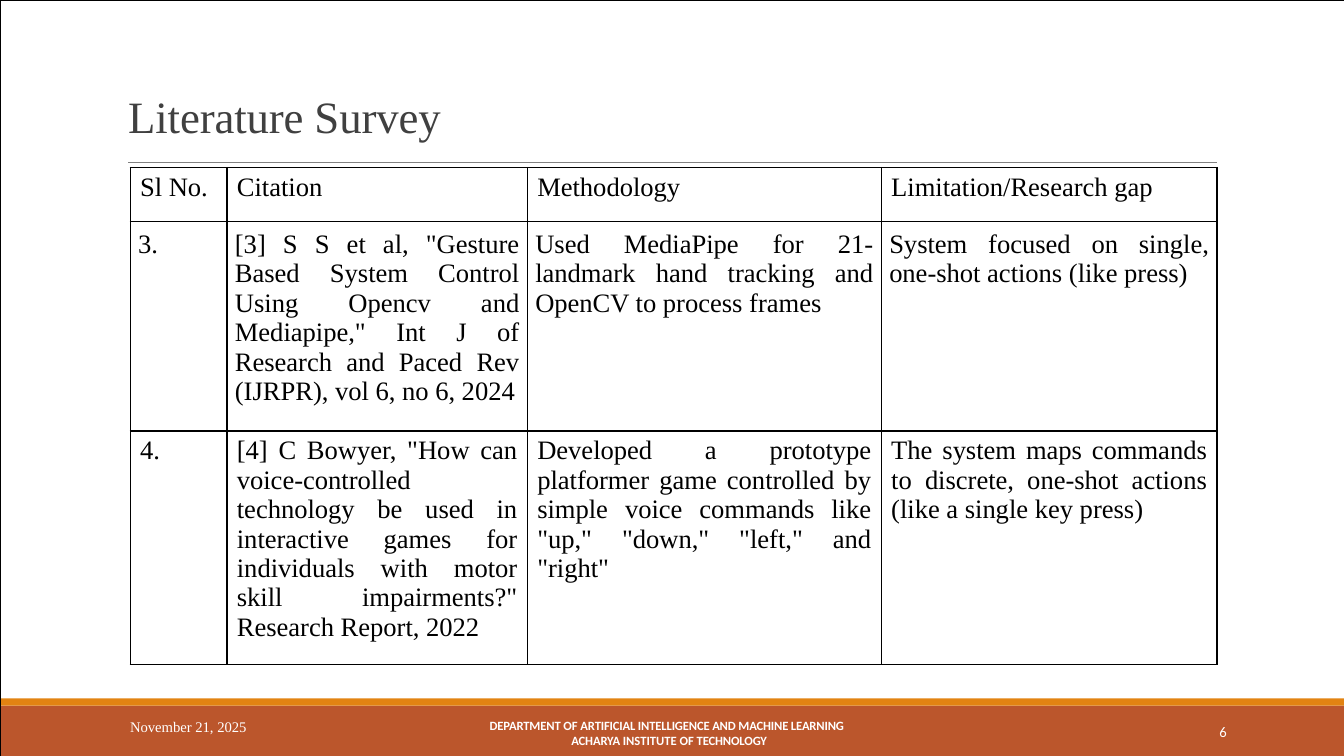
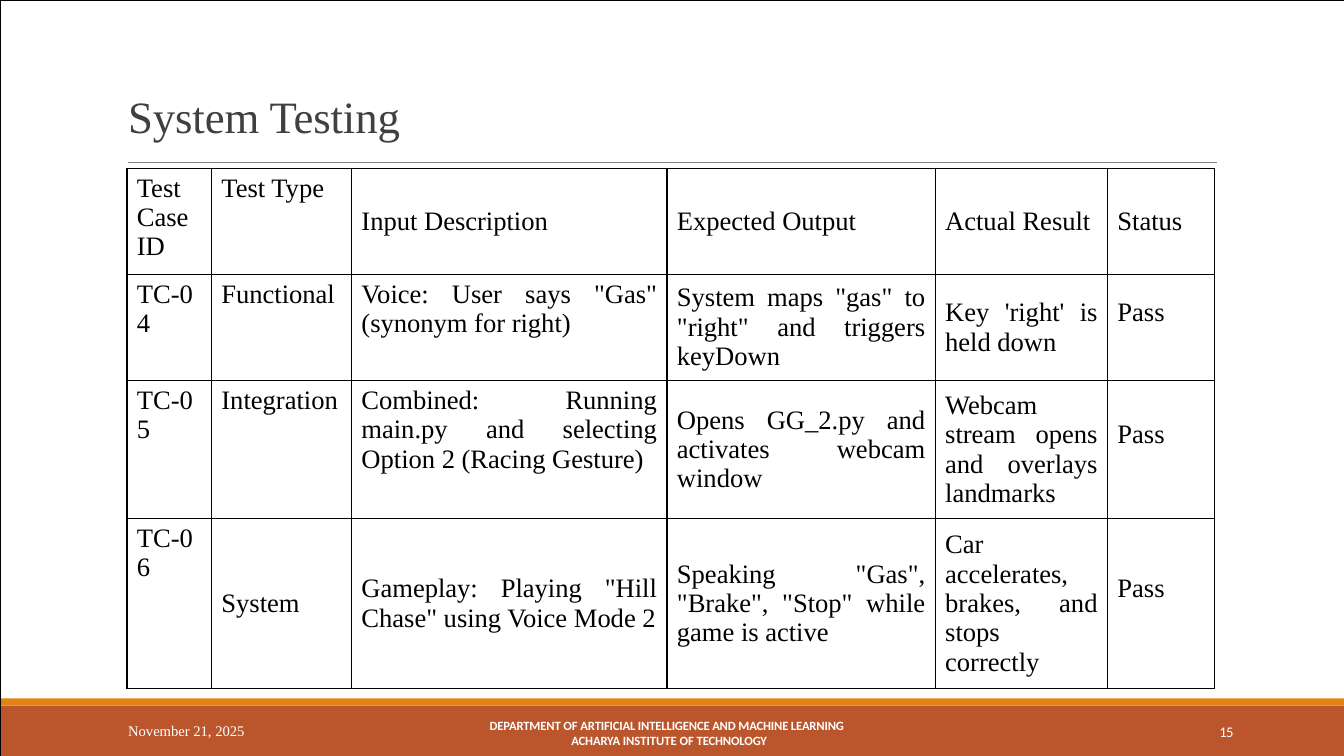
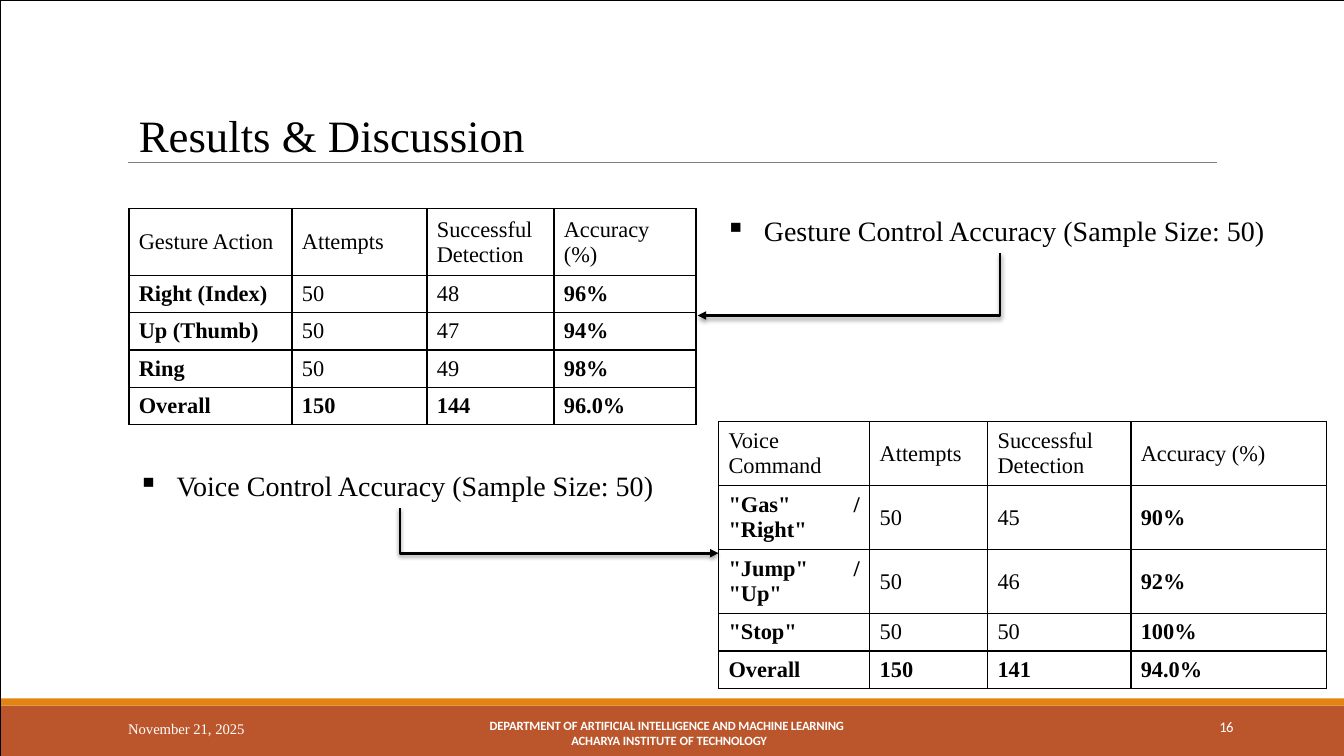
"""Builds three project review slides with tables and a shared footer."""
from lxml.etree import SubElement as Sub
from pptx import Presentation
from pptx.dml.color import RGBColor as Rgb
from pptx.enum.shapes import MSO_CONNECTOR as Link, MSO_SHAPE as Kind
from pptx.enum.text import MSO_ANCHOR as Anchor, PP_ALIGN as Align
from pptx.oxml.ns import qn
from pptx.util import Cm, Pt

INK = {"black": "000000", "white": "FFFFFF", "title": "404040",
       "rule": "808080", "rust": "BB562C", "amber": "E28312"}
SERIF, SANS = "Times New Roman", "Calibri"
WIDE, HIGH = 33.87, 19.05
DATE = "November 21, 2025"
DEPT = [("DEPARTMENT ", -10), ("OF ", 0),
        ("ARTIFICIAL INTELLIGENCE AND MACHINE LEARNING ACHARYA ", -10),
        ("INSTITUTE OF ", 0), ("TECHNOLOGY", -10)]

PAPERS = dict(
    at=(3.28, 4.22), cols=[2.44, 7.57, 8.92, 8.46], rows=[1.37, 5.27, 5.88],
    size=19, tops=[4, 4, 4], tight=1,
    data=[
        ["Sl No.", "Citation", "Methodology", "Limitation/Research gap"],
        ["3.",
         '[3] S S et al, "Gesture Based System Control Using Opencv and Mediapipe," '
         "Int J of Research and Paced Rev (IJRPR), vol 6, no 6, 2024",
         "Used MediaPipe for 21- landmark hand tracking and OpenCV to process frames",
         "System focused on single, one-shot actions (like press)"],
        ["4.",
         '[4] C Bowyer, "How can voice-controlled technology be used in interactive '
         'games for individuals with motor skill impairments?" Research Report, 2022',
         "Developed a prototype platformer game controlled by simple voice commands "
         'like "up," "down," "left," and "right"',
         "The system maps commands to discrete, one-shot actions (like a single key press)"],
    ])
TESTS = dict(
    at=(3.2, 4.24), cols=[2.13, 3.53, 7.95, 6.76, 4.34, 2.69],
    rows=[2.67, 2.67, 3.48, 4.27], size=19, tops=[2, 3, 3, 1],
    data=[
        ["Test Case ID", "Test Type", "Input Description", "Expected Output",
         "Actual Result", "Status"],
        ["TC-04", "Functional", 'Voice: User says "Gas" (synonym for right)',
         'System maps "gas" to "right" and triggers keyDown',
         "Key 'right' is held down", "Pass"],
        ["TC-05", "Integration",
         "Combined: Running main.py and selecting Option 2 (Racing Gesture)",
         "Opens GG_2.py and activates webcam window",
         "Webcam stream opens and overlays landmarks", "Pass"],
        ["TC-06", "System", 'Gameplay: Playing "Hill Chase" using Voice Mode 2',
         'Speaking "Gas", "Brake", "Stop" while game is active',
         "Car accelerates, brakes, and stops correctly", "Pass"],
    ])
HANDS = dict(
    at=(3.25, 5.26), cols=[4.11, 3.4, 3.2, 3.58], rows=[1.68] + [0.94] * 4,
    size=16, tops=[0] * 5, bold=True,
    data=[
        ["Gesture Action", "Attempts", "Successful Detection", "Accuracy (%)"],
        ["Right (Index)", "50", "48", "96%"],
        ["Up (Thumb)", "50", "47", "94%"],
        ["Ring", "50", "49", "98%"],
        ["Overall", "150", "144", "96.0%"],
    ])
VOICE = dict(
    at=(18.11, 10.62), cols=[3.81, 2.97, 3.61, 4.93],
    rows=[1.61] * 3 + [0.94] * 2, size=16, tops=[0] * 5, bold=True,
    data=[
        ["Voice Command", "Attempts", "Successful Detection", "Accuracy (%)"],
        ['"Gas" / "Right"', "50", "45", "90%"],
        ['"Jump" / "Up"', "50", "46", "92%"],
        ['"Stop"', "50", "50", "100%"],
        ["Overall", "150", "141", "94.0%"],
    ])

HEAD = dict(box=(3.2, 0.76, 24.51, 3.3), pad=(0.03, 1.61, 0, 0), ink="title", gap=-10)
LOW = dict(box=(3.25, 2.59, 24.26, 1.63), pad=(0.25, 0.13, 0.25, 0.13))
SLIDES = [
    dict(title="Literature Survey", head=HEAD, page="6", date=(3.28, 18.08),
         num=18.26, tables=[PAPERS]),
    dict(title="System Testing", head=HEAD, page="15", date=(3.23, 18.19),
         num=18.26, tables=[TESTS]),
    dict(title="Results & Discussion", head=LOW, page="16", date=(3.23, 18.14),
         num=18.14, tables=[HANDS, VOICE],
         notes=[("Gesture Control Accuracy (Sample Size: 50)", (18.03, 5.26, 14.3, 1.12)),
                ("Voice Control Accuracy (Sample Size: 50)", (3.23, 11.68, 13.72, 1.12))],
         arrows=[((25.2, 6.38), (17.58, 7.95)), ((10.08, 12.8), (18.11, 13.94))]),
]


def tint(name):
    return Rgb.from_string(INK[name])


def write(para, text, size, ink="black", face=SERIF, bold=False, gap=0):
    run = para.add_run()
    run.text = text
    font = run.font
    font.size, font.name, font.bold = Pt(size), face, bold
    font.color.rgb = tint(ink)
    if gap:
        run._r.get_or_add_rPr().set("spc", str(gap))


def frame(slide, box, pad=(0, 0, 0, 0)):
    text = slide.shapes.add_textbox(*map(Cm, box)).text_frame
    text.word_wrap = True
    (text.margin_left, text.margin_top,
     text.margin_right, text.margin_bottom) = map(Cm, pad)
    return text.paragraphs[0]


def indent(para, left, first=0):
    props = para._p.get_or_add_pPr()
    props.set("marL", str(Cm(left)))
    props.set("indent", str(Cm(first)))
    return props


def block(slide, box, fill=None):
    shape = slide.shapes.add_shape(Kind.RECTANGLE, *map(Cm, box))
    shape.shadow.inherit = False
    if fill:
        shape.fill.solid()
        shape.fill.fore_color.rgb = tint(fill)
        shape.line.fill.background()
    else:
        shape.fill.background()
        shape.line.color.rgb = tint("black")
        shape.line.width = Pt(0.25)


def stroke(slide, kind, ends, ink, width):
    line = slide.shapes.add_connector(kind, *map(Cm, ends))
    line.line.color.rgb = tint(ink)
    line.line.width = Pt(width)
    return line, Sub(line._element.spPr, qn("a:effectLst"))


def arrow(slide, start, end):
    (x, y), (u, v) = start, end
    wide, high = abs(v - y), abs(u - x)
    left, top = (x + u - wide) / 2, (y + v - high) / 2
    flip = u > x
    sides = (left + wide, left) if flip else (left, left + wide)
    line, glow = stroke(slide, Link.ELBOW,
                        (sides[0], top, sides[1], top + high), "black", 2)
    props = line._element.spPr
    props.find(qn("a:prstGeom")).set("prst", "bentConnector2")
    props.find(qn("a:xfrm")).set("rot", str((270 if flip else 90) * 60000))
    Sub(props.find(qn("a:ln")), qn("a:tailEnd"), type="triangle")
    shade = Sub(glow, qn("a:outerShdw"), blurRad=str(Pt(3.1)), dist=str(Pt(1.6)),
                dir="5400000", rotWithShape="0")
    tone = Sub(shade, qn("a:srgbClr"), val=INK["black"])
    Sub(tone, qn("a:alpha"), val="38000")


def edge(cell):
    props = cell._tc.get_or_add_tcPr()
    for side in "LRTB":
        line = Sub(props, qn("a:ln" + side), w=str(Pt(1)))
        Sub(Sub(line, qn("a:solidFill")), qn("a:srgbClr"), val=INK["black"])
    cell.fill.background()


def grid(slide, at, cols, rows, size, tops, data, bold=False, tight=None):
    area = map(Cm, (*at, sum(cols), sum(rows)))
    table = slide.shapes.add_table(len(rows), len(cols), *area).table
    table.first_row = table.horz_banding = False
    for col, wide in zip(table.columns, cols):
        col.width = Cm(wide)
    for r, (row, high) in enumerate(zip(table.rows, rows)):
        row.height = Cm(high)
        for c, (cell, text) in enumerate(zip(row.cells, data[r])):
            edge(cell)
            side, rim = (0.2, 0.2) if r == tight else (0.25, 0.13)
            cell.margin_left = cell.margin_right = Cm(side)
            cell.margin_top = Cm(rim)
            cell.margin_bottom = Cm(0.87 if text == "Pass" else rim)
            cell.vertical_anchor = Anchor.TOP if c < tops[r] else Anchor.MIDDLE
            para = cell.text_frame.paragraphs[0]
            para.alignment = Align.JUSTIFY
            strong = bold and r > 0 and (c in (0, 3) or r == len(rows) - 1)
            write(para, text, size, bold=strong)


def note(slide, text, box):
    para = frame(slide, box, LOW["pad"])
    Sub(indent(para, 0.97, -0.97), qn("a:buChar"), char="▪")
    write(para, text, 20)


def base(slide, title, head, date, num, page):
    block(slide, (0, 17.78, WIDE, 1.27), "rust")
    block(slide, (0, 17.6, WIDE, 0.18), "amber")
    stroke(slide, Link.STRAIGHT, (3.23, 4.1, 30.66, 4.1), "rule", 0.75)
    block(slide, (0, 0, WIDE, HIGH))
    dept = frame(slide, (12.32, 18.01, 9.17, 0.84), (0, 0.1, 0, 0))
    indent(dept, 2.08, -2.06)
    dept.line_spacing = Pt(10.6)
    for text, gap in DEPT:
        write(dept, text, 9, "white", SANS, True, gap)
    write(frame(slide, head["box"], head["pad"]), title, 32,
          head.get("ink", "black"), gap=head.get("gap", 0))
    write(frame(slide, (*date, 7.8, 0.46)), DATE, 10.5, "white")
    mark = frame(slide, (30.43, num, 1.1, 0.48))
    indent(mark, 0.3)
    mark.line_spacing = Pt(11.4)
    write(mark, page, 10.5, "white", SANS, gap=-50)


def main():
    deck = Presentation()
    deck.slide_width, deck.slide_height = Cm(WIDE), Cm(HIGH)
    for item in SLIDES:
        slide = deck.slides.add_slide(deck.slide_layouts[6])
        base(slide, *(item[key] for key in ("title", "head", "date", "num", "page")))
        for table in item["tables"]:
            grid(slide, **table)
        for text, box in item.get("notes", []):
            note(slide, text, box)
        for start, end in item.get("arrows", []):
            arrow(slide, start, end)
    deck.save("out.pptx")


if __name__ == "__main__":
    main()
